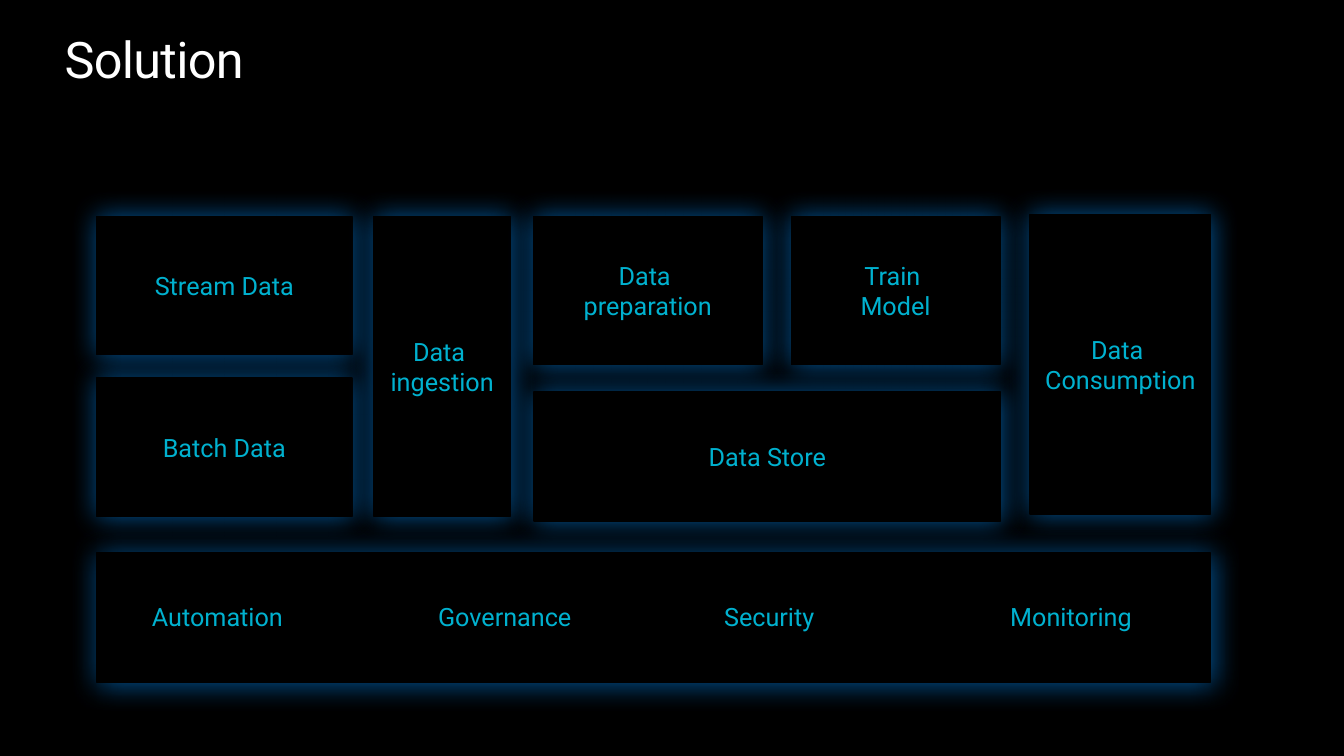
from dataclasses import dataclass

from lxml import etree
from pptx import Presentation
from pptx.dml.color import RGBColor
from pptx.enum.shapes import MSO_SHAPE
from pptx.enum.text import MSO_ANCHOR, MSO_AUTO_SIZE, PP_ALIGN
from pptx.oxml.ns import qn
from pptx.shapes.autoshape import Shape
from pptx.slide import Slide
from pptx.util import Cm, Pt

RECT = MSO_SHAPE.RECTANGLE
TOP, MIDDLE, BOTTOM = MSO_ANCHOR.TOP, MSO_ANCHOR.MIDDLE, MSO_ANCHOR.BOTTOM
LEFT, CENTER = PP_ALIGN.LEFT, PP_ALIGN.CENTER
GROW = MSO_AUTO_SIZE.SHAPE_TO_FIT_TEXT


@dataclass(frozen=True)
class Theme:
    font: str = "Roboto"
    back: str = "000000"
    title: str = "FFFFFF"
    label: str = "00B1CF"
    glow: str = "0078D4"
    title_size: int = 36
    label_size: int = 18


@dataclass(frozen=True)
class Box:
    """A glowing block; lengths in centimetres."""
    text: str
    left: float
    top: float
    width: float
    height: float


THEME = Theme()

# Shared edges of the diagram, in centimetres
EDGE, ROW = 2.44, 5.46
SIDE_W, SIDE_H = 6.43, 3.48
TALL, STEP_H, BASE_H = 7.54, 3.73, 3.25

BOXES = (
    Box("Stream Data", EDGE, ROW, SIDE_W, SIDE_H),
    Box("Batch Data", EDGE, 9.53, SIDE_W, SIDE_H),
    Box("Data \ningestion", 9.42, ROW, 3.45, TALL),
    Box("Data Store", 13.46, 9.88, 11.76, BASE_H),
    Box("Data \npreparation", 13.44, ROW, 5.77, STEP_H),
    Box("Train \nModel", 19.94, ROW, 5.26, STEP_H),
    Box("", EDGE, 13.94, 28.07, BASE_H),
    Box("Data \nConsumption", 25.96, 5.41, 4.55, TALL),
)

# Services along the base block
SERVICES = ("Automation", "Governance", "Security", "Monitoring")
FIRST, PITCH = 3.58, 7.21


def write(shape: Shape, text: str, *, size: int = THEME.label_size,
          color: str = THEME.label, align: PP_ALIGN = LEFT,
          anchor: MSO_ANCHOR = TOP, wrap: bool = True,
          spacing: int = 0) -> None:
    """Fill a shape with text, one paragraph a line."""
    frame = shape.text_frame
    frame.text = text
    frame.word_wrap = wrap
    frame.vertical_anchor = anchor
    for para in frame.paragraphs:
        para.alignment = align
        for run in para.runs:
            run.font.name = THEME.font
            run.font.size = Pt(size)
            run.font.color.rgb = RGBColor.from_string(color)
            if spacing:
                run.font._element.set("spc", str(spacing))


def add_glow(shape: Shape) -> None:
    """Give a shape an even blue shadow on all sides."""
    shape.shadow.inherit = False
    effects = shape._element.spPr.find(qn("a:effectLst"))
    shadow = etree.SubElement(effects, qn("a:outerShdw"),
                              blurRad=str(Pt(20)), dist="0", dir="0",
                              algn="ctr", rotWithShape="0")
    color = etree.SubElement(shadow, qn("a:srgbClr"), val=THEME.glow)
    etree.SubElement(color, qn("a:alpha"), val="70000")


def add_box(slide: Slide, box: Box) -> None:
    shape = slide.shapes.add_shape(RECT, Cm(box.left), Cm(box.top),
                                   Cm(box.width), Cm(box.height))
    black = RGBColor.from_string(THEME.back)
    shape.fill.solid()
    shape.fill.fore_color.rgb = black
    shape.line.color.rgb = black
    shape.line.width = Pt(1)
    add_glow(shape)
    if box.text:
        write(shape, box.text, align=CENTER, anchor=MIDDLE, wrap=False)


def add_title(slide: Slide, text: str) -> None:
    title = slide.shapes.add_textbox(Cm(1.63), Cm(0.69), Cm(31.83), Cm(1.55))
    frame = title.text_frame
    frame.margin_left = frame.margin_right = Cm(0)
    frame.margin_top = frame.margin_bottom = Cm(0)
    frame.auto_size = GROW
    write(title, text, size=THEME.title_size, color=THEME.title,
          anchor=BOTTOM, spacing=-50)


def add_service(slide: Slide, text: str, left: float) -> None:
    label = slide.shapes.add_textbox(Cm(left), Cm(15.04), Cm(4.11), Cm(1.02))
    label.text_frame.auto_size = GROW
    write(label, text)


def main() -> None:
    deck = Presentation()
    deck.slide_width, deck.slide_height = Cm(33.87), Cm(19.05)
    slide = deck.slides.add_slide(deck.slide_layouts[6])

    # Background
    slide.background.fill.solid()
    slide.background.fill.fore_color.rgb = RGBColor.from_string(THEME.back)

    # Title, blocks and services
    add_title(slide, "Solution")
    for box in BOXES:
        add_box(slide, box)
    for index, name in enumerate(SERVICES):
        add_service(slide, name, FIRST + index * PITCH)

    deck.save("out.pptx")


if __name__ == "__main__":
    main()
